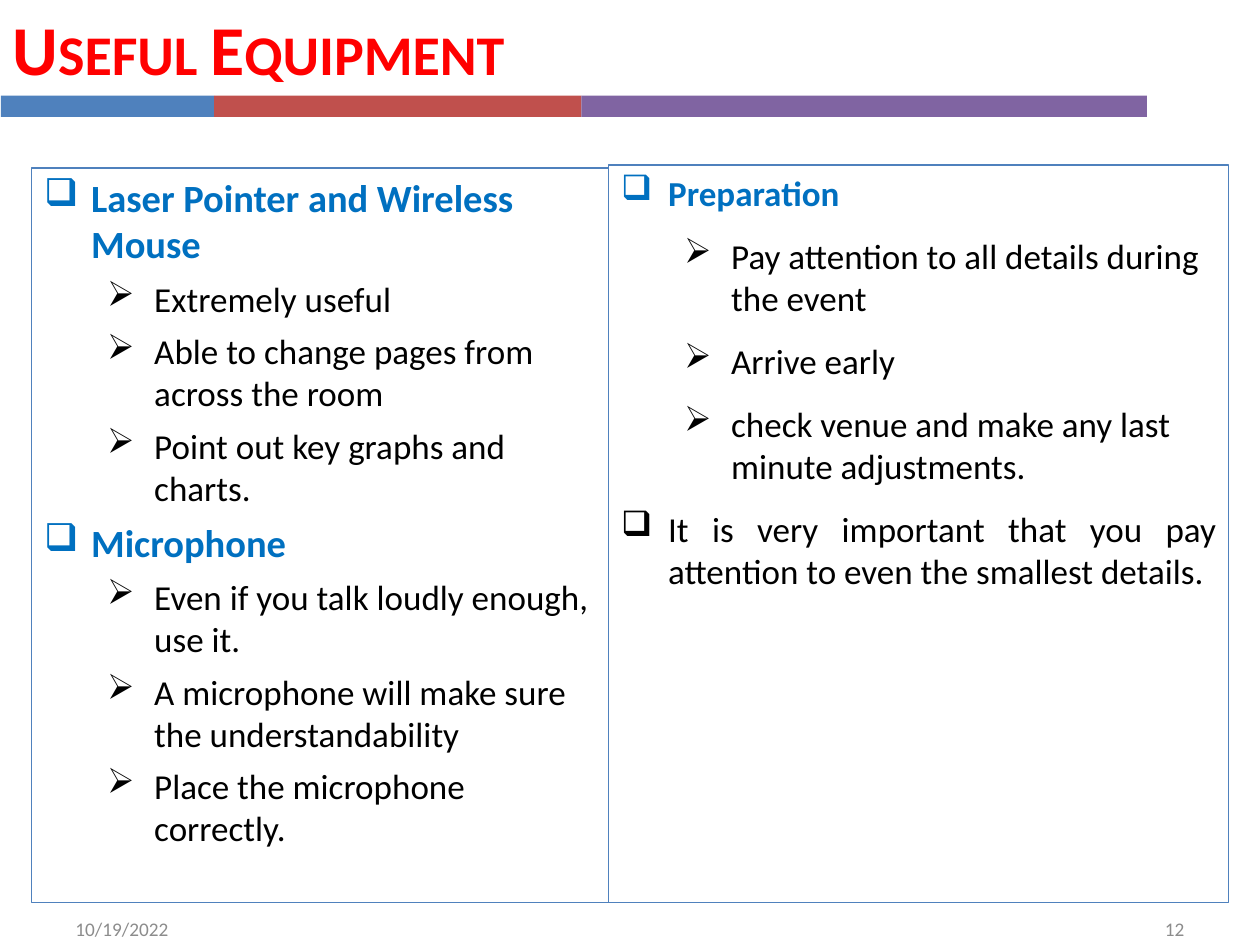
from lxml.etree import SubElement
from pptx import Presentation
from pptx.dml.color import RGBColor
from pptx.enum.shapes import MSO_SHAPE as Shape
from pptx.enum.text import MSO_ANCHOR as Anchor, MSO_AUTO_SIZE as AutoSize, PP_ALIGN as Align
from pptx.oxml.ns import qn
from pptx.util import Cm, Pt

RED = RGBColor(0xFF, 0x00, 0x00)
BLUE = RGBColor(0x4F, 0x81, 0xBD)
BRICK = RGBColor(0xC0, 0x50, 0x4D)
PURPLE = RGBColor(0x80, 0x64, 0xA2)
HEADING = RGBColor(0x00, 0x70, 0xC0)
BLACK = RGBColor(0x00, 0x00, 0x00)
GREY = RGBColor(0x8C, 0x8C, 0x8C)

BULLETS = {0: "❑", 1: "➢"}
MARGINS = {0: Cm(0.95), 1: Cm(2.22)}
HANGING = Cm(0.95)

BARS = [(4.3, BLUE), (7.4, BRICK), (11.4, PURPLE)]

# Each entry: level, text, is it a heading
EQUIPMENT = [
    (0, "Laser Pointer and Wireless Mouse", True),
    (1, "Extremely useful", False),
    (1, "Able to change pages from across the room", False),
    (1, "Point out key graphs and charts.", False),
    (0, "Microphone", True),
    (1, "Even if you talk loudly enough, use it.", False),
    (1, "A microphone will make sure the understandability", False),
    (1, "Place the microphone correctly.", False),
]
PREPARATION = [
    (0, "Preparation", True),
    (1, "Pay attention to all details during the event", False),
    (1, "Arrive early", False),
    (1, "check venue and make any last minute adjustments.", False),
    (0, "It is very important that you pay attention to even the smallest details.", False),
]


class SlideBuilder:
    def __init__(self, slide, font_name="Calibri"):
        self.slide = slide
        self.font_name = font_name

    def add_run(self, paragraph, text, size, color, bold=False):
        run = paragraph.add_run()
        run.text = text
        formats = {"name": self.font_name, "size": Pt(size), "bold": bold}
        for name, value in formats.items():
            setattr(run.font, name, value)
        run.font.color.rgb = color
        return run

    def format_frame(self, frame, anchor):
        formats = {"word_wrap": True, "auto_size": AutoSize.NONE, "vertical_anchor": anchor}
        for name, value in formats.items():
            setattr(frame, name, value)

    def title(self, text, left, top, width, height):
        title = self.slide.shapes.title
        box = {"left": left, "top": top, "width": width, "height": height}
        for name, value in box.items():
            setattr(title, name, Cm(value))
        self.format_frame(title.text_frame, Anchor.MIDDLE)
        paragraph = title.text_frame.paragraphs[0]
        paragraph.alignment = Align.LEFT
        run = self.add_run(paragraph, text, 40, RED, bold=True)
        run.font._element.set("cap", "small")

    def rectangle(self, left, top, width, height, fill=None, line=None):
        shape = self.slide.shapes.add_shape(
            Shape.RECTANGLE, Cm(left), Cm(top), Cm(width), Cm(height))
        shape.shadow.inherit = False
        if fill is None:
            shape.fill.background()
        else:
            shape.fill.solid()
            shape.fill.fore_color.rgb = fill
        if line is None:
            shape.line.fill.background()
        else:
            shape.line.color.rgb = line
            shape.line.width = Pt(0.75)
        return shape

    def bars(self, left, top, height):
        for width, color in BARS:
            self.rectangle(left, top, width, height, fill=color)
            left += width

    def set_bullet(self, paragraph, level):
        paragraph.level = level
        properties = paragraph._p.get_or_add_pPr()
        properties.set("marL", str(MARGINS[level]))
        properties.set("indent", str(-HANGING))
        SubElement(properties, qn("a:buChar")).set("char", BULLETS[level])

    def panel(self, box, items, heading_size, space_after):
        """Draw an outlined box with a two-level bulleted list."""
        frame = self.rectangle(*box, line=BLUE).text_frame
        self.format_frame(frame, Anchor.TOP)
        for index, (level, text, is_heading) in enumerate(items):
            paragraph = frame.add_paragraph() if index else frame.paragraphs[0]
            self.set_bullet(paragraph, level)
            is_statement = level == 0 and not is_heading
            paragraph.alignment = Align.JUSTIFY if is_statement else Align.LEFT
            paragraph.space_after = Pt(space_after)
            if is_heading:
                self.add_run(paragraph, text, heading_size, HEADING, bold=True)
            else:
                self.add_run(paragraph, text, 20, BLACK)

    def footer(self, text, left, alignment):
        box = self.slide.shapes.add_textbox(Cm(left), Cm(18.21), Cm(5.92), Cm(1.02))
        self.format_frame(box.text_frame, Anchor.MIDDLE)
        paragraph = box.text_frame.paragraphs[0]
        paragraph.alignment = alignment
        self.add_run(paragraph, text, 11, GREY)


def main():
    presentation = Presentation()
    presentation.slide_width = Cm(25.4)
    presentation.slide_height = Cm(19.05)
    title_only = presentation.slide_layouts[5]
    builder = SlideBuilder(presentation.slides.add_slide(title_only))

    builder.bars(0.02, 1.93, 0.43)
    builder.title("Useful Equipment", 0, 0, 23.1, 1.93)
    builder.footer("10/19/2022", 1.27, Align.LEFT)
    builder.footer("12", 18.21, Align.RIGHT)
    builder.panel((0.64, 3.39, 11.63, 14.81), EQUIPMENT, heading_size=22, space_after=6)
    builder.panel((12.27, 3.33, 12.5, 14.87), PREPARATION, heading_size=20, space_after=12)

    presentation.save("out.pptx")


if __name__ == "__main__":
    main()
